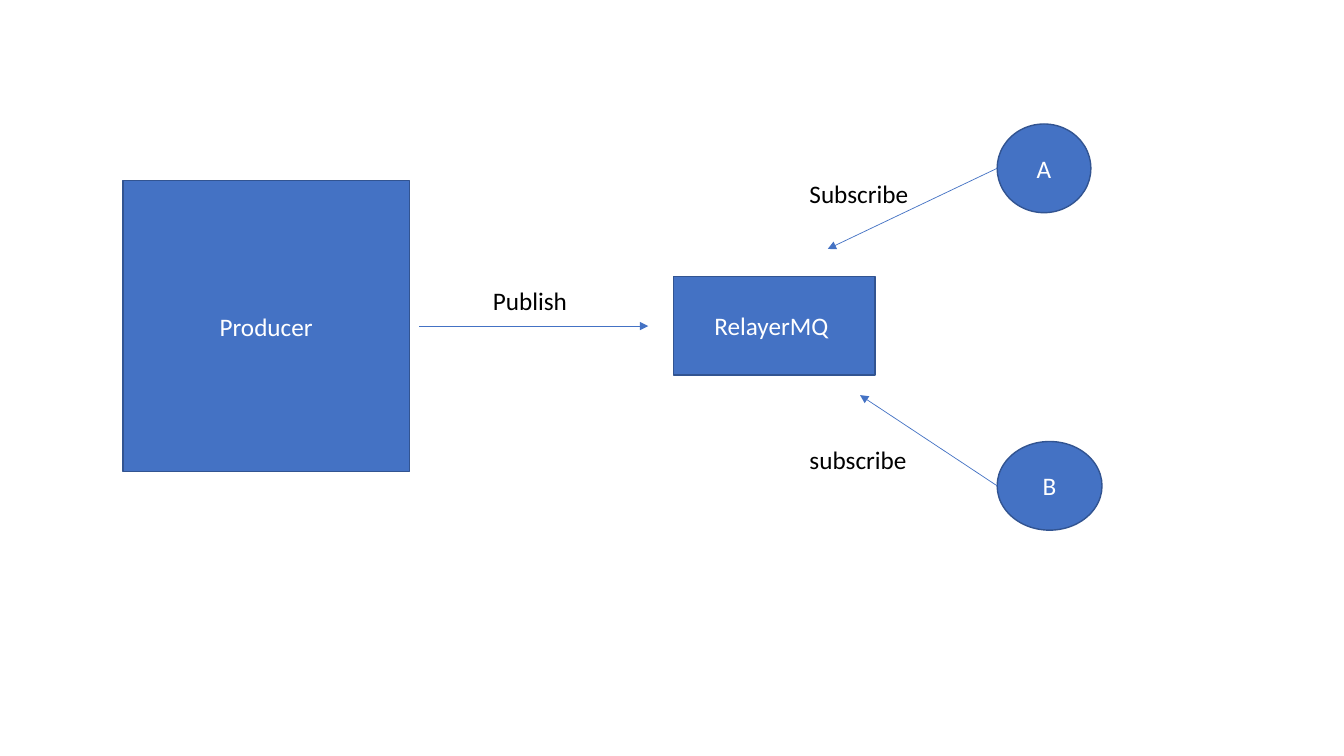
from pptx import Presentation
from pptx.dml.color import RGBColor
from pptx.enum.shapes import MSO_CONNECTOR, MSO_SHAPE
from pptx.enum.text import MSO_ANCHOR, MSO_AUTO_SIZE, PP_ALIGN
from pptx.oxml.ns import qn
from pptx.util import Inches, Pt
from lxml.etree import SubElement

FONT = "Calibri"
BLUE, OUTLINE, WHITE, BLACK = "4472C4", "325491", "FFFFFF", "000000"


def paint(fmt, color):
    """Give a fill a solid colour."""
    fmt.solid()
    fmt.fore_color.rgb = RGBColor.from_string(color)


def add_run(tf, text, color):
    r = tf.paragraphs[0].add_run()
    r.text = text
    r.font.name = FONT
    r.font.size = Pt(18)
    paint(r.font.fill, color)


def add_node(s, kind, text, x, y, w, h):
    sp = s.shapes.add_shape(kind, Inches(x), Inches(y), Inches(w), Inches(h))
    sp.shadow.inherit = False
    paint(sp.fill, BLUE)
    paint(sp.line.fill, OUTLINE)
    sp.line.width = Pt(1)
    tf = sp.text_frame
    tf.vertical_anchor = MSO_ANCHOR.MIDDLE
    tf.paragraphs[0].alignment = PP_ALIGN.CENTER
    add_run(tf, text, WHITE)


def add_label(s, text, x, y):
    sp = s.shapes.add_textbox(Inches(x), Inches(y), Inches(1.49), Inches(0.4))
    tf = sp.text_frame
    tf.word_wrap = True
    tf.auto_size = MSO_AUTO_SIZE.SHAPE_TO_FIT_TEXT
    add_run(tf, text, BLACK)


def add_arrow(s, x1, y1, x2, y2):
    cn = s.shapes.add_connector(MSO_CONNECTOR.STRAIGHT, Inches(x1), Inches(y1),
                                Inches(x2), Inches(y2))
    paint(cn.line.fill, BLUE)
    cn.line.width = Pt(0.5)
    SubElement(cn.line._get_or_add_ln(), qn("a:tailEnd"), type="triangle")
    SubElement(cn._element.spPr, qn("a:effectLst"))


def producer(s, x, y, w, h):
    """Producer square with the publish arrow leaving its right side."""
    add_node(s, MSO_SHAPE.RECTANGLE, "Producer", x, y, w, h)
    start, mid = x + w + 0.1, y + h / 2
    add_arrow(s, start, mid, start + 2.27, mid)
    add_label(s, "Publish", start + 0.63, mid - 0.45)


def broker(s, x, y, w, h):
    add_node(s, MSO_SHAPE.RECTANGLE, "RelayerMQ ", x, y, w, h)


def subscriber(s, x, y, w, h, name, label, label_dy, reach):
    """Subscriber circle with an arrow from its left side to the broker."""
    add_node(s, MSO_SHAPE.OVAL, name, x, y, w, h)
    mid = y + h / 2
    dx, dy = reach
    add_arrow(s, x, mid, x + dx, mid + dy)
    add_label(s, label, x - 1.96, y + label_dy)


prs = Presentation()
prs.slide_width, prs.slide_height = Inches(13.33), Inches(7.5)
s = prs.slides.add_slide(prs.slide_layouts[6])
paint(s.background.fill, WHITE)

# Message flow, left to right
producer(s, 1.22, 1.79, 2.84, 2.89)
broker(s, 6.68, 2.74, 2, 0.98)
subscriber(s, 9.89, 1.23, 0.93, 0.88, "A", "Subscribe", 0.49, (-1.68, 0.8))
subscriber(s, 9.89, 4.38, 1.04, 0.88, "B", "subscribe", -0.02, (-1.36, -0.9))

prs.save("out.pptx")
